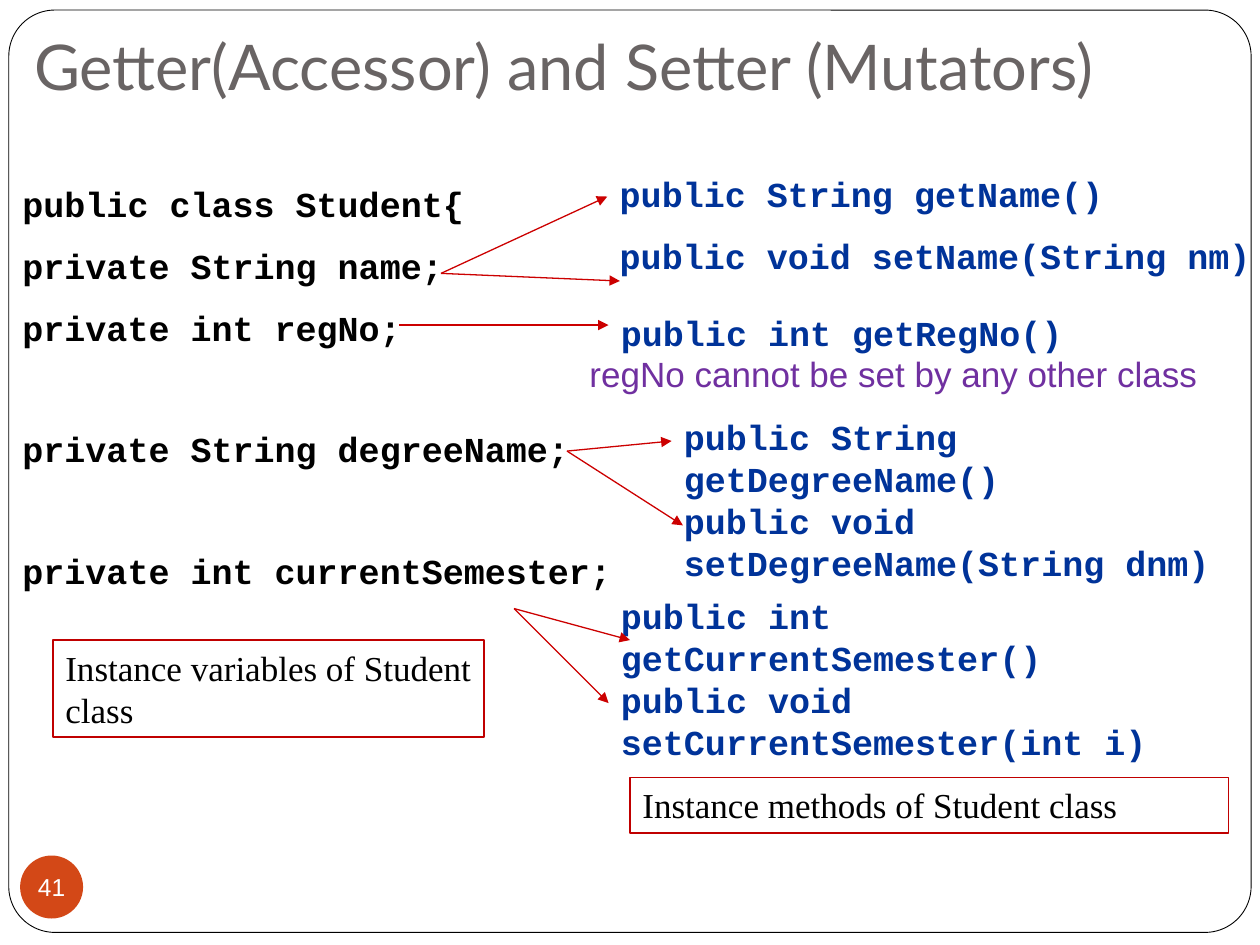
from pptx import Presentation
from pptx.dml.color import RGBColor
from pptx.enum import shapes, text
from pptx.oxml import parse_xml
from pptx.oxml.ns import nsdecls
from pptx.util import Inches, Pt

BLACK = RGBColor(0, 0, 0)
WHITE = RGBColor(0xFF, 0xFF, 0xFF)
GREY = RGBColor(0x69, 0x64, 0x64)
ORANGE = RGBColor(0xD3, 0x48, 0x17)
BLUE = RGBColor(0x00, 0x33, 0x99)
PURPLE = RGBColor(0x70, 0x30, 0xA0)
RED = RGBColor(0xCC, 0, 0)
DARK = RGBColor(0xC0, 0, 0)
CODE = "Courier New"


def write(shape, lines, font, color, size=20, bold=False, gaps=(), align=text.PP_ALIGN.LEFT):
    frame = shape.text_frame
    frame.text = "\n".join(lines)
    for para in frame.paragraphs:
        para.alignment = align
        for run in para.runs:
            run.font.name = font
            run.font.size = Pt(size)
            run.font.bold = bold
            run.font.color.rgb = color
    for para, gap in zip(frame.paragraphs[1:], gaps):
        para.space_before = Pt(gap)
    return frame


def draw(kind, box, fill, line=None, width=1):
    shape = slide.shapes.add_shape(kind, *map(Inches, box))
    shape.shadow.inherit = False
    shape.fill.solid()
    shape.fill.fore_color.rgb = fill
    if line is None:
        shape.line.fill.background()
    else:
        shape.line.color.rgb = line
        shape.line.width = Pt(width)
    return shape


deck = Presentation()
deck.slide_width, deck.slide_height = Inches(10), Inches(7.5)
slide = deck.slides.add_slide(deck.slide_layouts[5])
kinds = shapes.MSO_SHAPE

border = draw(kinds.ROUNDED_RECTANGLE, (0.07, 0.08, 9.86, 7.32), WHITE, BLACK, 0.5)
border.adjustments[0] = 0.05
slide.shapes._spTree.insert(2, border._element)

title = slide.shapes.title
title.left, title.top = Inches(0.17), Inches(0)
title.width, title.height = Inches(9), Inches(0.92)
frame = write(title, ["Getter(Accessor) and Setter (Mutators)"], "Lato", GREY, 36)
frame.vertical_anchor = text.MSO_ANCHOR.BOTTOM
frame.margin_bottom = Inches(0.1)
frame.auto_size = text.MSO_AUTO_SIZE.NONE

badge = draw(kinds.OVAL, (0.16, 6.79, 0.5, 0.5), ORANGE)
frame = write(badge, ["41"], "Arial", WHITE, 14, align=text.PP_ALIGN.CENTER)
frame.margin_left = frame.margin_right = frame.margin_top = frame.margin_bottom = 0
frame.vertical_anchor = text.MSO_ANCHOR.MIDDLE
frame.word_wrap = False

fields = ["public class Student{", "private String name;", "private int regNo;",
          "private String degreeName;", "private int currentSemester;"]
notes = [
    ((0.08, 1.4, 5.17, 3.47), fields, CODE, BLACK, (11.4, 11.4, 45.4, 45.4)),
    ((4.82, 1.32, 5.25, 0.94),
     ["public String getName()", "public void setName(String nm)"], CODE, BLUE, (11.4,)),
    ((4.83, 2.42, 3.74, 0.44), ["public int getRegNo()"], CODE, BLUE, ()),
    ((5.33, 3.25, 4.67, 1.45),
     ["public String getDegreeName()", "public void setDegreeName(String dnm)"], CODE, BLUE, ()),
    ((4.83, 4.67, 4.67, 1.45),
     ["public int getCurrentSemester()", "public void setCurrentSemester(int i)"], CODE, BLUE, ()),
    ((4.58, 2.75, 5.08, 0.44), ["regNo cannot be set by any other class"], "Arial", PURPLE, ()),
]
for box, lines, font, color, gaps in notes:
    note = slide.shapes.add_textbox(*map(Inches, box))
    note.text_frame.word_wrap = True
    write(note, lines, font, color, bold=font == CODE, gaps=gaps)

arrows = [
    ((3.5, 2.17), [(4.82, 1.56), (4.92, 2.23)]),
    ((3.17, 2.58), [(4.83, 2.58)]),
    ((4.5, 3.58), [(5.33, 3.5), (5.42, 4.17)]),
    ((4.08, 4.83), [(5, 5.08), (4.83, 5.58)]),
]
for start, ends in arrows:
    for end in ends:
        arrow = slide.shapes.add_connector(shapes.MSO_CONNECTOR.STRAIGHT, *map(Inches, start + end))
        arrow.line.color.rgb = RED
        arrow.line.width = Pt(0.75)
        arrow.line._get_or_add_ln().append(parse_xml(f'<a:tailEnd {nsdecls("a")} type="triangle"/>'))
        arrow._element.spPr.append(parse_xml(f'<a:effectLst {nsdecls("a")}/>'))

labels = [
    ((0.42, 5.08, 3.42, 0.77), "Instance variables of Student class"),
    ((5, 6.17, 4.75, 0.44), "Instance methods of Student class"),
]
for box, words in labels:
    label = draw(kinds.RECTANGLE, box, WHITE, DARK)
    frame = write(label, [words], "Times New Roman", BLACK)
    frame.vertical_anchor = text.MSO_ANCHOR.TOP
    frame.word_wrap = True

deck.save("out.pptx")
